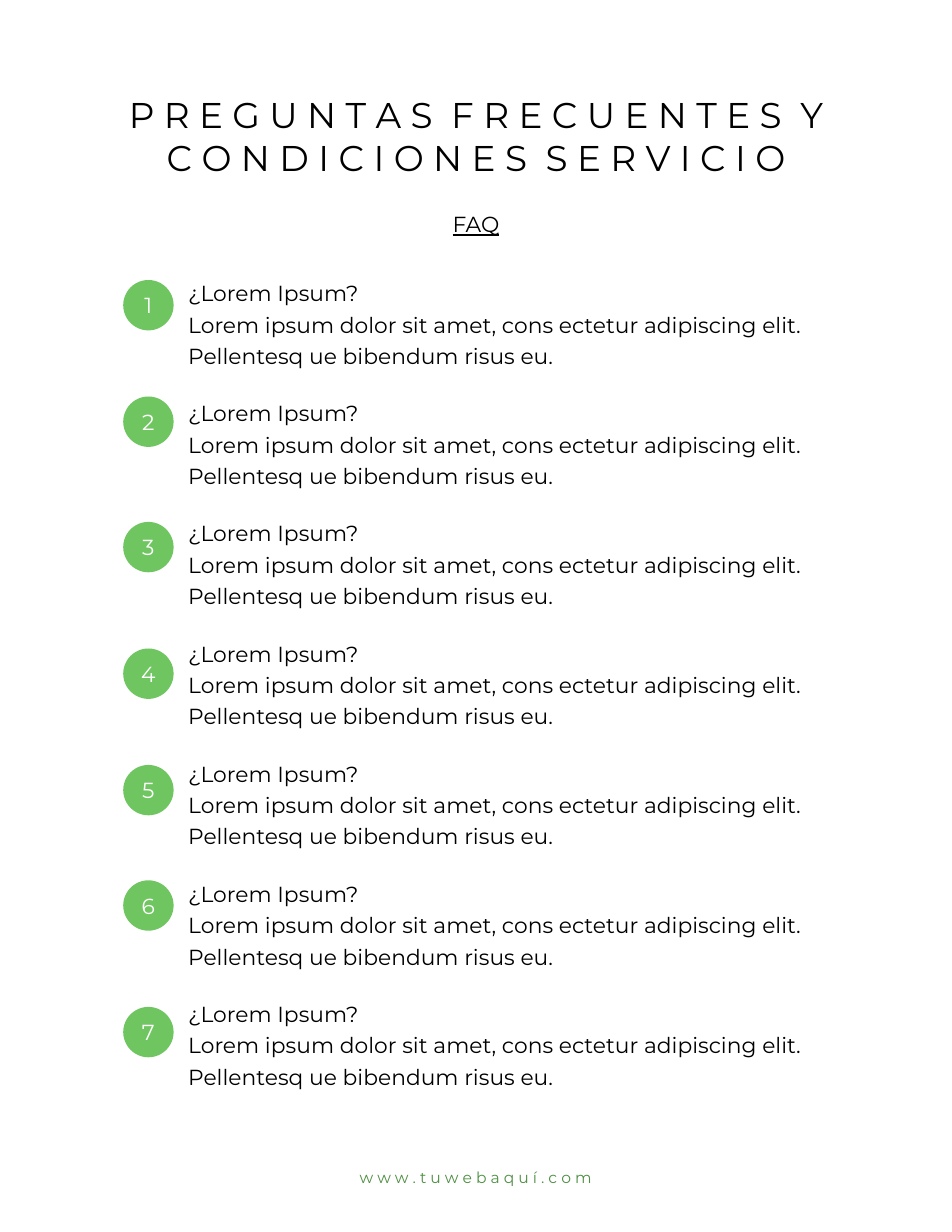
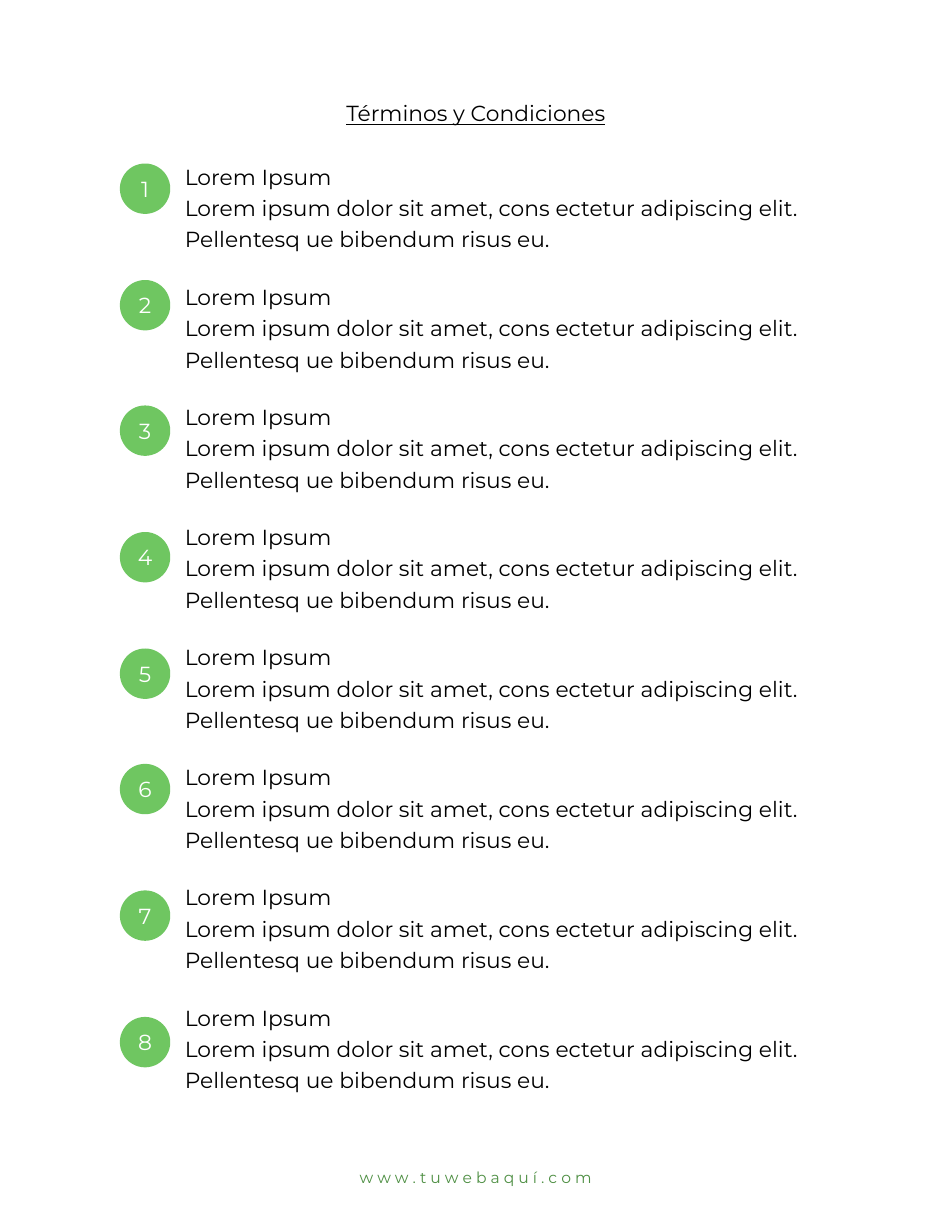
from dataclasses import dataclass

from pptx import Presentation
from pptx.dml.color import RGBColor
from pptx.enum.shapes import MSO_SHAPE
from pptx.enum.text import MSO_ANCHOR, MSO_AUTO_SIZE, PP_ALIGN
from pptx.util import Inches, Pt

CENTER, JUSTIFY, LEFT = PP_ALIGN.CENTER, PP_ALIGN.JUSTIFY, PP_ALIGN.LEFT
TOP, MIDDLE = MSO_ANCHOR.TOP, MSO_ANCHOR.MIDDLE
GROW = MSO_AUTO_SIZE.SHAPE_TO_FIT_TEXT
OVAL = MSO_SHAPE.OVAL

# Shared style
FONT = "Montserrat"
BLACK, WHITE, GREEN, DARK_GREEN = "000000", "FFFFFF", "6FC661", "4E8F43"
BODY_SIZE = 14
WIDE, NARROW = 0.06, 0.03  # text insets
BADGE_SIZE = 0.45
BADGE_OFFSETS = (0, 1.04, 2.16, 3.29, 4.33, 5.36, 6.49, 7.62)
ENTRY_GAP = 20.1
ANSWER = ("Lorem ipsum dolor sit amet, cons ectetur adipiscing elit. "
          "Pellentesq ue bibendum risus eu.")
WEBSITE = "w w w . t u w e b a q u í . c o m"
TITLE = ("P R E G U N T A S  F R E C U E N T E S  Y",
         "C O N D I C I O N E S  S E R V I C I O")


@dataclass
class ListPage:
    heading: str
    heading_top: float
    entry: str
    count: int
    left: float
    top: float
    title: tuple[str, ...] = ()


PAGES = [
    ListPage("FAQ", 1.85, "¿Lorem Ipsum?", 7, 1.1, 2.5, TITLE),
    ListPage("Términos y Condiciones", 0.86, "Lorem Ipsum", 8, 1.07, 1.46),
]


def rgb(value: str) -> RGBColor:
    return RGBColor.from_string(value)


def setup_frame(tf, inset: float, anchor=TOP, wrap: bool = True) -> None:
    tf.margin_left = tf.margin_right = Inches(inset)
    tf.margin_top = tf.margin_bottom = Inches(inset)
    tf.vertical_anchor = anchor
    tf.word_wrap = wrap


def add_text(tf, text: str, *, size: float = BODY_SIZE, color: str = BLACK,
             align=CENTER, underline: bool = False, line: float | None = None,
             before: float = 0) -> None:
    """Fill the empty first paragraph, or append a new one."""
    first = tf.paragraphs[0]
    p = tf.add_paragraph() if first.runs else first
    p.alignment = align
    if line:
        p.line_spacing = line
    if before:
        p.space_before = Pt(before)
    r = p.add_run()
    r.text = text
    r.font.name, r.font.size = FONT, Pt(size)
    r.font.color.rgb = rgb(color)
    if underline:
        r.font.underline = True


def add_box(s, x: float, y: float, w: float, h: float, inset: float,
            anchor=TOP, wrap: bool = True):
    tf = s.shapes.add_textbox(Inches(x), Inches(y), Inches(w), Inches(h)).text_frame
    setup_frame(tf, inset, anchor, wrap)
    tf.auto_size = GROW
    return tf


def add_badge(s, x: float, y: float, number: int) -> None:
    sp = s.shapes.add_shape(OVAL, Inches(x), Inches(y),
                            Inches(BADGE_SIZE), Inches(BADGE_SIZE))
    sp.shadow.inherit = False
    sp.fill.solid()
    sp.fill.fore_color.rgb = rgb(GREEN)
    sp.line.fill.background()
    setup_frame(sp.text_frame, NARROW, MIDDLE)
    add_text(sp.text_frame, str(number), color=WHITE)


def add_entries(s, page: ListPage) -> None:
    tf = add_box(s, page.left + 0.55, page.top - 0.03, 5.82,
                 1.08 * page.count - 0.22, NARROW)
    for i in range(page.count):
        add_text(tf, page.entry, align=JUSTIFY, before=ENTRY_GAP if i else 0)
        add_text(tf, ANSWER, align=LEFT, line=1.2)
    for number, offset in enumerate(BADGE_OFFSETS[:page.count], 1):
        add_badge(s, page.left, page.top + offset, number)


def add_page(prs, page: ListPage) -> None:
    s = prs.slides.add_slide(prs.slide_layouts[6])
    # Main title
    if page.title:
        tf = add_box(s, 0.64, 0.77, 7.23, 0.86, WIDE)
        for text in page.title:
            add_text(tf, text, size=23)
    # Section heading
    tf = add_box(s, 0.81, page.heading_top, 6.88, 0.3, NARROW, MIDDLE)
    add_text(tf, page.heading, underline=True)
    # Numbered list
    add_entries(s, page)
    # Footer
    tf = add_box(s, 3.15, 10.37, 2.19, 0.28, WIDE, MIDDLE, wrap=False)
    add_text(tf, WEBSITE, size=10, color=DARK_GREEN)


def main() -> None:
    prs = Presentation()
    prs.slide_width, prs.slide_height = Inches(8.5), Inches(11)
    for page in PAGES:
        add_page(prs, page)
    prs.save("out.pptx")


if __name__ == "__main__":
    main()
